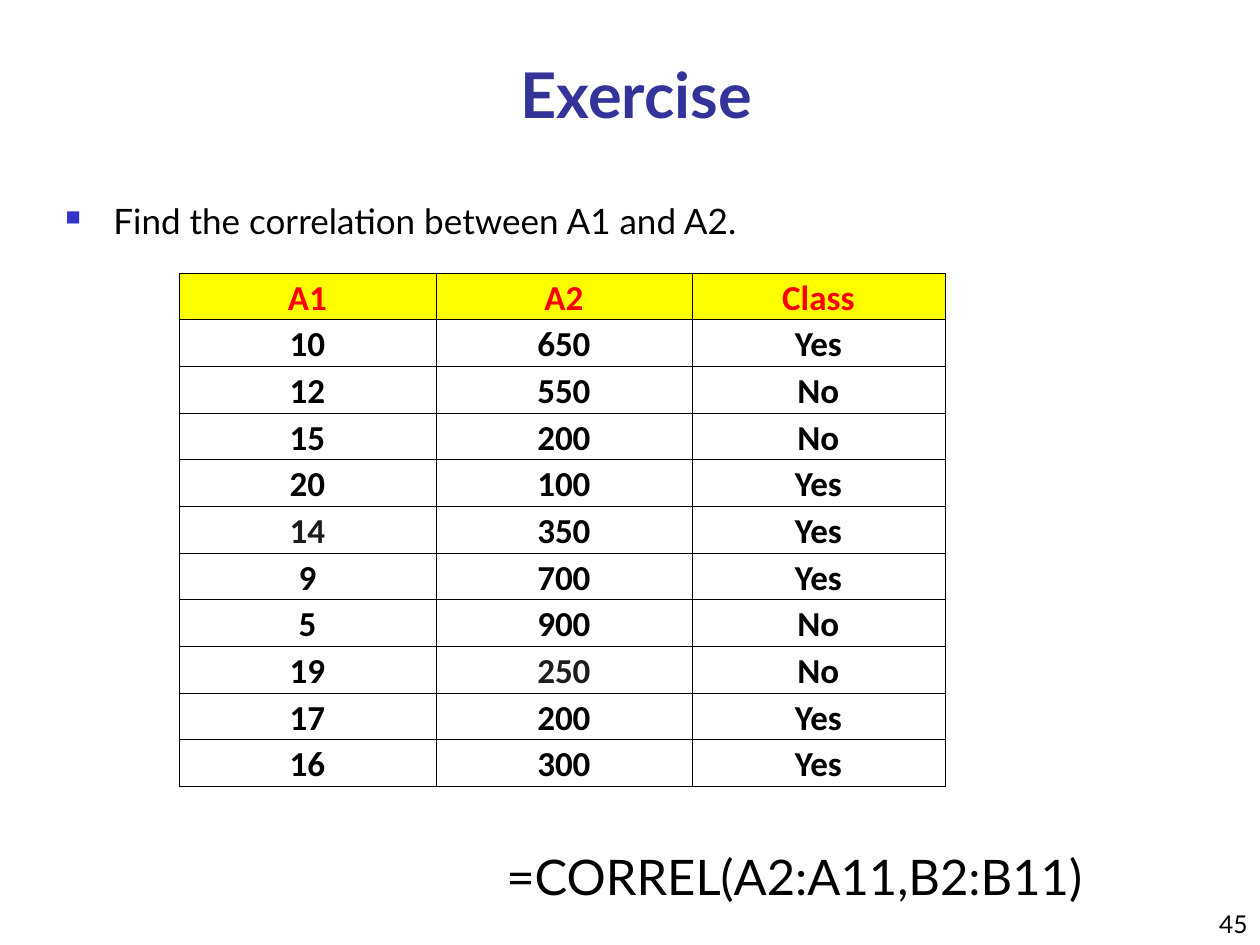
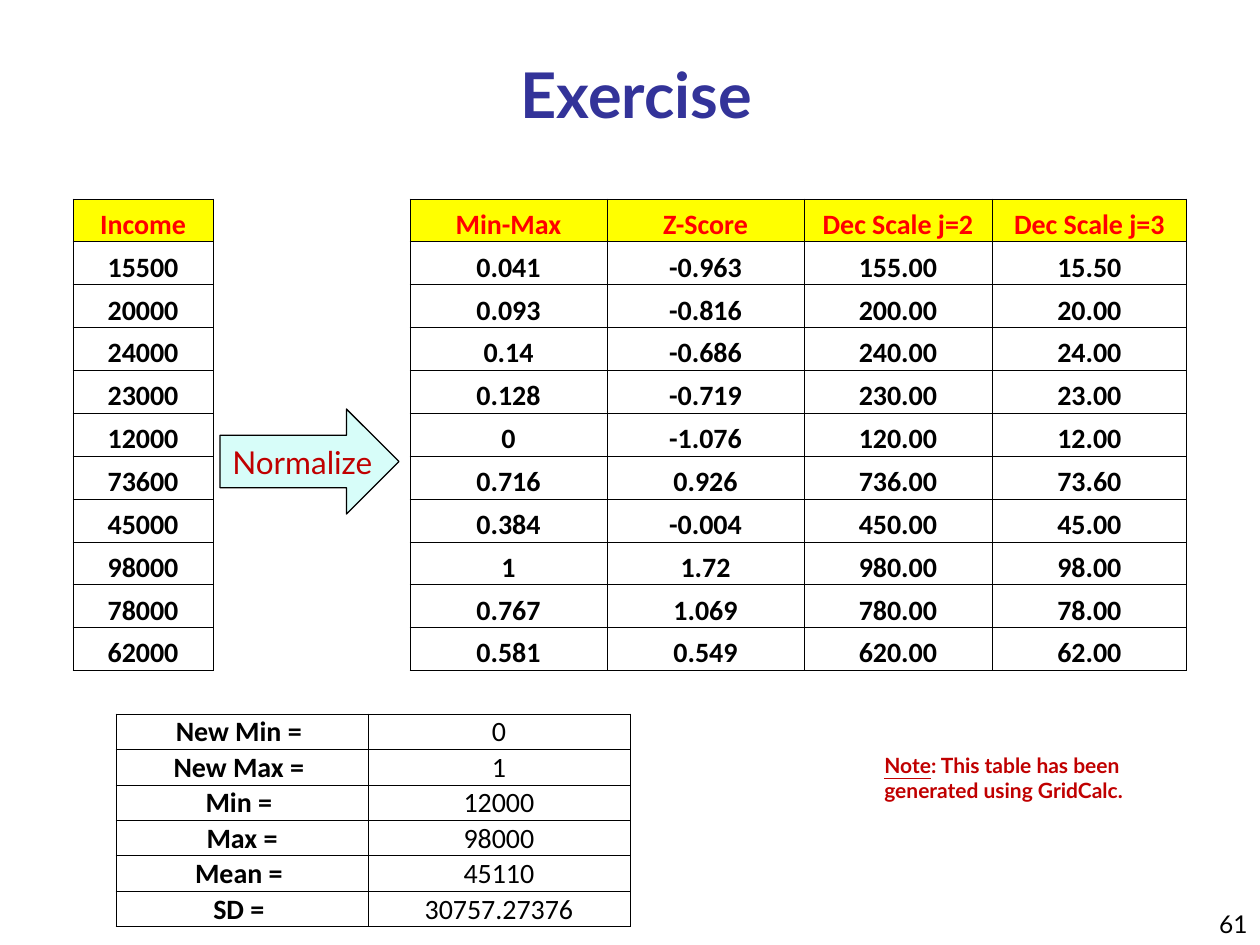
from lxml.etree import SubElement
from pptx import Presentation
from pptx.dml.color import RGBColor
from pptx.enum.shapes import MSO_SHAPE as Shape
from pptx.enum.text import MSO_ANCHOR as Anchor, MSO_AUTO_SIZE as AutoSize, PP_ALIGN as Align
from pptx.oxml.ns import qn
from pptx.util import Emu, Pt

PX_PER_INCH = 126
TITLE_BLUE, BULLET_BLUE = "333399", "3333CC"
BLACK, CHARCOAL, RED, DARK_RED = "000000", "1C1C1C", "FF0000", "C00000"
YELLOW, PALE_CYAN = "FFFF00", "D7FDF9"
TEXT_FONT, TABLE_FONT = "Lato", "Calibri"

CORRELATION_ROWS = [
    ("A1", "A2", "Class"),
    ("10", "650", "Yes"),
    ("12", "550", "No"),
    ("15", "200", "No"),
    ("20", "100", "Yes"),
    ("14", "350", "Yes"),
    ("9", "700", "Yes"),
    ("5", "900", "No"),
    ("19", "250", "No"),
    ("17", "200", "Yes"),
    ("16", "300", "Yes"),
]
INCOME_ROWS = [
    (value,)
    for value in ("Income", "15500", "20000", "24000", "23000", "12000",
                  "73600", "45000", "98000", "78000", "62000")
]
NORMALIZED_ROWS = [
    ("Min-Max", "Z-Score", "Dec Scale j=2", "Dec Scale j=3"),
    ("0.041", "-0.963", "155.00", "15.50"),
    ("0.093", "-0.816", "200.00", "20.00"),
    ("0.14", "-0.686", "240.00", "24.00"),
    ("0.128", "-0.719", "230.00", "23.00"),
    ("0", "-1.076", "120.00", "12.00"),
    ("0.716", "0.926", "736.00", "73.60"),
    ("0.384", "-0.004", "450.00", "45.00"),
    ("1", "1.72", "980.00", "98.00"),
    ("0.767", "1.069", "780.00", "78.00"),
    ("0.581", "0.549", "620.00", "62.00"),
]
STATISTICS_ROWS = [
    ("New Min = ", "0"),
    ("New Max = ", "1"),
    ("Min = ", "12000"),
    ("Max =", "98000"),
    ("Mean = ", "45110"),
    ("SD = ", "30757.27376"),
]


def px(length):
    """Turn a length in px into EMU."""
    return Emu(round(length * 914400 / PX_PER_INCH))


def color(value):
    """Turn a hex string into a colour."""
    return RGBColor.from_string(value)


def format_span(span, size, shade=BLACK, bold=False, font=TEXT_FONT):
    """Give a run its font, size, weight and colour."""
    span.font.name = font
    span.font.size = Pt(size)
    span.font.bold = bold
    span.font.color.rgb = color(shade)


def add_text(page, box, text, size, shade=BLACK, bold=False, wrap=True):
    """Add a text box with one formatted paragraph and return its frame."""
    frame = page.shapes.add_textbox(*map(px, box)).text_frame
    frame.word_wrap = wrap
    frame.text = text
    format_span(frame.paragraphs[0].runs[0], size, shade, bold)
    return frame


def add_page(deck, title, number):
    """Add a slide with the shared title style and page number."""
    page = deck.slides.add_slide(deck.slide_layouts[5])
    heading = page.shapes.title
    heading.left, heading.top, heading.width, heading.height = map(px, (105, 32, 1063, 105))
    frame = heading.text_frame
    frame.text = title
    frame.auto_size = AutoSize.NONE
    frame.vertical_anchor = Anchor.BOTTOM
    frame.paragraphs[0].alignment = Align.CENTER
    format_span(frame.paragraphs[0].runs[0], 36, TITLE_BLUE, True)

    footer = add_text(page, (998, 882, 262, 63), number, 14)
    footer.vertical_anchor = Anchor.BOTTOM
    footer.paragraphs[0].alignment = Align.RIGHT
    return page


def add_borders(cell):
    """Draw a thin black line on all four sides of a cell."""
    properties = cell._tc.get_or_add_tcPr()
    for side in ("a:lnL", "a:lnR", "a:lnT", "a:lnB"):
        line = SubElement(properties, qn(side), w=str(Pt(0.5)))
        fill = SubElement(line, qn("a:solidFill"))
        SubElement(fill, qn("a:srgbClr"), val=BLACK)


def add_grid(page, left, top, height, widths, rows, size, header=True,
             bold_columns=None, shades=None):
    """Add a bordered table with equal rows; shades maps (row, column) to a text colour."""
    shades = shades or {}
    bold_columns = len(widths) if bold_columns is None else bold_columns
    box = map(px, (left, top, sum(widths), height))
    table = page.shapes.add_table(len(rows), len(widths), *box).table
    table.first_row = table.horz_banding = False
    for column, width in zip(table.columns, widths):
        column.width = px(width)
    for row in table.rows:
        row.height = px(height / len(rows))
    for r, values in enumerate(rows):
        for c, value in enumerate(values):
            cell = table.cell(r, c)
            add_borders(cell)
            is_header = header and r == 0
            if is_header:
                cell.fill.solid()
                cell.fill.fore_color.rgb = color(YELLOW)
            else:
                cell.fill.background()
            cell.margin_left = cell.margin_right = cell.margin_top = px(1)
            cell.margin_bottom = 0
            cell.vertical_anchor = Anchor.BOTTOM
            cell.text = value
            para = cell.text_frame.paragraphs[0]
            para.alignment = Align.CENTER
            shade = RED if is_header else shades.get((r, c), BLACK)
            format_span(para.runs[0], size, shade, c < bold_columns, TABLE_FONT)


def add_bullet(page, box, text):
    """Add a paragraph with a small square bullet and a hanging indent."""
    para = add_text(page, box, text, 20).paragraphs[0]
    para.line_spacing = 1.1
    para.space_before = Pt(4)
    properties = para._p.get_or_add_pPr()
    properties.set("marL", str(px(48)))
    properties.set("indent", str(px(-48)))
    shade = SubElement(properties, qn("a:buClr"))
    SubElement(shade, qn("a:srgbClr"), val=BULLET_BLUE)
    SubElement(properties, qn("a:buSzPct"), val="60000")
    SubElement(properties, qn("a:buChar"), char="■")


def add_arrow(page, box, text):
    """Add a labelled arrow pointing right."""
    arrow = page.shapes.add_shape(Shape.RIGHT_ARROW, *map(px, box))
    arrow.shadow.inherit = False
    arrow.fill.solid()
    arrow.fill.fore_color.rgb = color(PALE_CYAN)
    arrow.line.color.rgb = color(BLACK)
    arrow.line.width = Pt(0.75)
    frame = arrow.text_frame
    frame.word_wrap = False
    frame.vertical_anchor = Anchor.MIDDLE
    frame.text = text
    frame.paragraphs[0].alignment = Align.LEFT
    format_span(frame.paragraphs[0].runs[0], 18, DARK_RED)


def add_note(page, box, label, text):
    """Add a bold note that starts with an underlined label."""
    frame = add_text(page, box, label, 12, DARK_RED, True)
    frame.auto_size = AutoSize.SHAPE_TO_FIT_TEXT
    para = frame.paragraphs[0]
    para.runs[0].font.underline = True
    span = para.add_run()
    span.text = text
    format_span(span, 12, DARK_RED, True)


def build_correlation(deck):
    """Build the correlation exercise."""
    page = add_page(deck, "Exercise", "45")
    add_grid(page, 179, 273, 514, (257, 256, 253), CORRELATION_ROWS, 20,
             shades={(5, 0): CHARCOAL, (8, 1): CHARCOAL})
    add_bullet(page, (53, 189, 1144, 73), "Find the correlation between A1 and A2.")
    formula = add_text(page, (494, 840, 607, 72), "=CORREL(A2:A11,B2:B11)", 28, wrap=False)
    formula.auto_size = AutoSize.SHAPE_TO_FIT_TEXT


def build_normalization(deck):
    """Build the normalization exercise."""
    page = add_page(deck, "Exercise", "61")
    top, height = 199, 472
    add_grid(page, 116, 714, 213, (252, 262), STATISTICS_ROWS, 16,
             header=False, bold_columns=1)
    add_grid(page, 73, top, height, (140,), INCOME_ROWS, 16)
    add_grid(page, 410, top, height, (197, 197, 188, 195), NORMALIZED_ROWS, 16)
    add_arrow(page, (220, 409, 179, 105), "Normalize")
    add_note(page, (872, 746, 346, 63), "Note",
             ": This table has been generated using GridCalc.")


def main():
    """Build and save the deck."""
    deck = Presentation()
    deck.slide_width, deck.slide_height = px(1260), px(945)
    build_correlation(deck)
    build_normalization(deck)
    deck.save("out.pptx")


if __name__ == "__main__":
    main()
